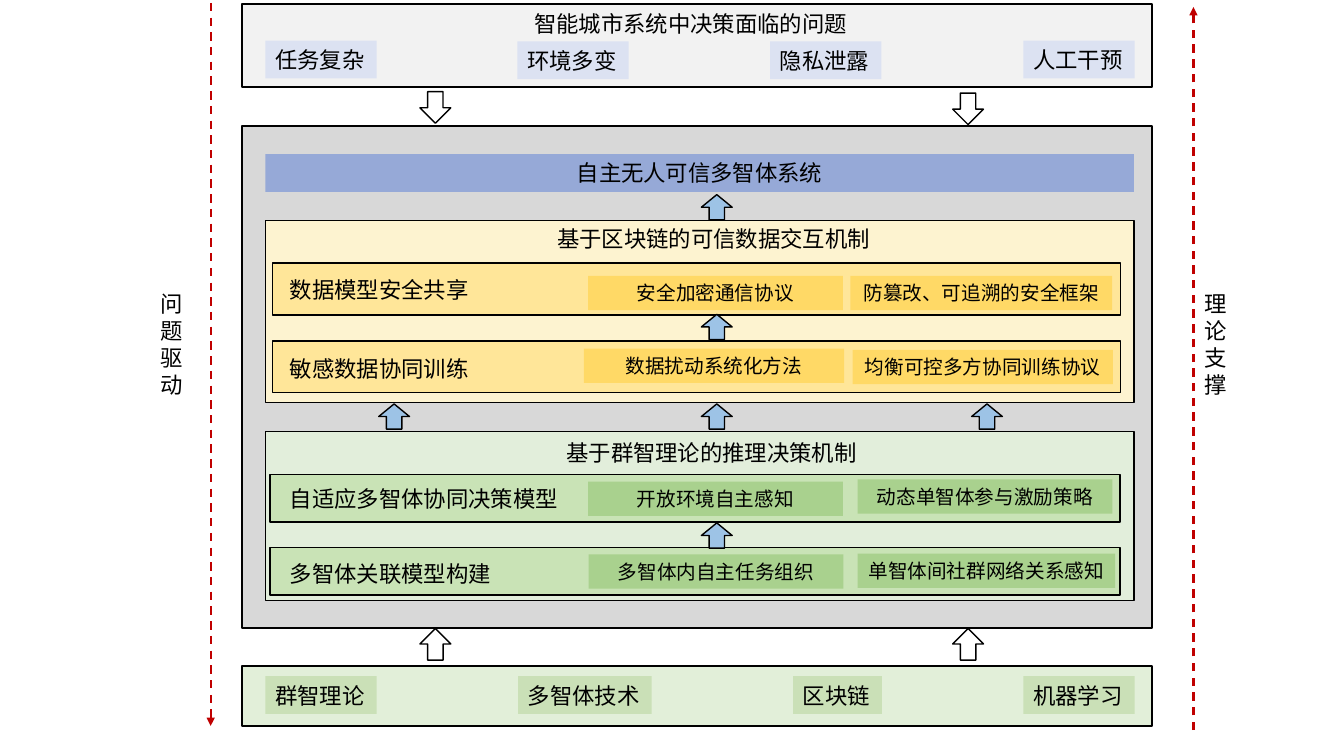
from pptx import Presentation
from pptx.dml.color import RGBColor
from pptx.enum.dml import MSO_LINE
from pptx.enum.shapes import MSO_CONNECTOR, MSO_SHAPE
from pptx.enum.text import MSO_ANCHOR, PP_ALIGN
from pptx.oxml.ns import qn
from pptx.util import Pt
from lxml import etree

RECT, DOWN = MSO_SHAPE.RECTANGLE, MSO_SHAPE.DOWN_ARROW
STRAIGHT, DASH = MSO_CONNECTOR.STRAIGHT, MSO_LINE.DASH
LEFT, CENTER = PP_ALIGN.LEFT, PP_ALIGN.CENTER
TOP, MIDDLE = MSO_ANCHOR.TOP, MSO_ANCHOR.MIDDLE


def color(code):
    return RGBColor.from_string(code)


class Board:
    """Draws styled elements on one slide; all lengths are in points."""
    font = "Noto Sans CJK SC"
    ink = "000000"
    accent = "C00000"

    def __init__(self, slide):
        self.shapes = slide.shapes

    def shape(self, kind, x, y, w, h, fill=None, line=None):
        item = self.shapes.add_shape(kind, Pt(x), Pt(y), Pt(w), Pt(h))
        item.shadow.inherit = False
        if fill:
            item.fill.solid()
            item.fill.fore_color.rgb = color(fill)
        else:
            item.fill.background()
        if line:
            item.line.color.rgb = color(self.ink)
            item.line.width = Pt(line)
        else:
            item.line.fill.background()
        return item

    def panel(self, x, y, w, h, fill, line=1):
        self.shape(RECT, x, y, w, h, fill, line)

    def set_text(self, item, text, size, align=LEFT, anchor=MIDDLE):
        frame = item.text_frame
        frame.word_wrap = True
        frame.vertical_anchor = anchor
        para = frame.paragraphs[0]
        para.alignment = align
        run = para.add_run()
        run.text = text
        run.font.size = Pt(size)
        run.font.name = self.font
        run.font.color.rgb = color(self.ink)
        east = etree.SubElement(run.font._element, qn("a:ea"))
        east.set("typeface", self.font)

    def chip(self, text, x, y, w, h, fill, size=16, align=LEFT):
        self.set_text(self.shape(RECT, x, y, w, h, fill), text, size, align)

    def label(self, text, x, y, w, h=27):
        box = self.shapes.add_textbox(Pt(x), Pt(y), Pt(w), Pt(h))
        self.set_text(box, text, 16)

    def column(self, text, x, y, w, h):
        """Text with upright characters stacked downwards."""
        box = self.shapes.add_textbox(Pt(x), Pt(y), Pt(w), Pt(h))
        self.set_text(box, text, 16, anchor=TOP)
        box.text_frame.word_wrap = False
        box.text_frame._txBody.bodyPr.set("vert", "wordArtVert")

    def arrow(self, x, y, h, fill=None, up=True):
        item = self.shape(DOWN, x, y, 22, h, fill, 1)
        item.rotation = 180 if up else 0

    def guide(self, x, start, end):
        """Dashed vertical line with an arrowhead at its end."""
        line = self.shapes.add_connector(STRAIGHT, Pt(x), Pt(start), Pt(x), Pt(end))
        line.line.color.rgb = color(self.accent)
        line.line.width = Pt(1.5)
        line.line.dash_style = DASH
        head = etree.SubElement(line.line._get_or_add_ln(), qn("a:tailEnd"))
        head.set("type", "triangle")
        etree.SubElement(line._element.spPr, qn("a:effectLst"))


# Row: y, label, label y, then chips as (text, x, y, width)
GROUPS = [
    dict(head="基于区块链的可信数据交互机制", spot=(391, 157, 244),
         area=(157.5, 130, "FDF3D0"), row=(194.5, 606, 37, "FFE699"), chip="FFD966",
         rows=[
             (188, "数据模型安全共享", 193.5,
              [("安全加密通信协议", 420, 197, 182),
               ("防篡改、可追溯的安全框架", 607.5, 197, 187)]),
             (243.5, "敏感数据协同训练", 250,
              [("数据扰动系统化方法", 417, 249, 186),
               ("均衡可控多方协同训练协议", 609, 250, 186)])]),
    dict(head="基于群智理论的推理决策机制", spot=(397.5, 309.5, 227),
         area=(308, 121, "E2EEDB"), row=(193, 607, 34, "C9E3B6"), chip="A9D18E",
         rows=[
             (339, "自适应多智体协同决策模型", 342.5,
              [("开放环境自主感知", 420, 344, 182),
               ("动态单智体参与激励策略", 612.5, 342.5, 182)]),
             (391, "多智体关联模型构建", 396,
              [("多智体内自主任务组织", 420.5, 396, 182),
               ("单智体间社群网络关系感知", 612.5, 395.5, 184)])]),
]
ISSUES = [("任务复杂", 189.5, 29), ("环境多变", 369.5, 29.5),
          ("隐私泄露", 550, 29.5), ("人工干预", 731, 29)]
BASES = [("群智理论", 189.5, 483), ("多智体技术", 370, 483),
         ("区块链", 566.5, 483), ("机器学习", 731, 483)]


def main():
    deck = Presentation()
    deck.slide_width, deck.slide_height = Pt(960), Pt(540)
    board = Board(deck.slides.add_slide(deck.slide_layouts[6]))

    board.panel(173, 90, 650, 358.5, "D8D8D8", 1.5)
    board.guide(150.5, 2, 518.5)
    board.guide(852.5, 521.5, 5)
    board.column("问题驱动", 107.5, 204, 41, 113)
    board.column("理论支撑", 853.5, 204, 41, 113)

    board.panel(173, 3, 650, 59, "F2F2F2", 1.5)
    board.label("智能城市系统中决策面临的问题", 374.5, 3.5, 291.5)
    board.panel(173, 476, 650, 42.5, "E2EFD9", 1.5)
    for items, fill in ((ISSUES, "DCE2F2"), (BASES, "CAE0B7")):
        for text, x, y in items:
            board.chip(text, x, y, 16 * len(text) + 15.5, 27, fill)

    board.chip("自主无人可信多智体系统", 189.5, 110, 620.5, 27, "96A9D7", align=CENTER)
    for group in GROUPS:
        y, h, fill = group["area"]
        board.panel(189.5, y, 620.5, h, fill)
        board.label(group["head"], *group["spot"])
        x, w, h, fill = group["row"]
        for y, name, base, chips in group["rows"]:
            board.panel(x, y, w, h, fill)
            board.label(name, 200, base, 208)
            for text, left, top, wide in chips:
                board.chip(text, left, top, wide, 24.5, group["chip"], 14, CENTER)

    for x, y in ((300, 65.5), (680.5, 66.5)):
        board.arrow(x, y, 22.5, up=False)
        board.arrow(x, 449, 22.5)
    for x, y in ((501, 139), (501, 224.5), (501, 373.5),
                 (270.5, 288.5), (501, 288.5), (694, 288.5)):
        board.arrow(x, y, 18, "9DC3E6")

    deck.save("out.pptx")


if __name__ == "__main__":
    main()
